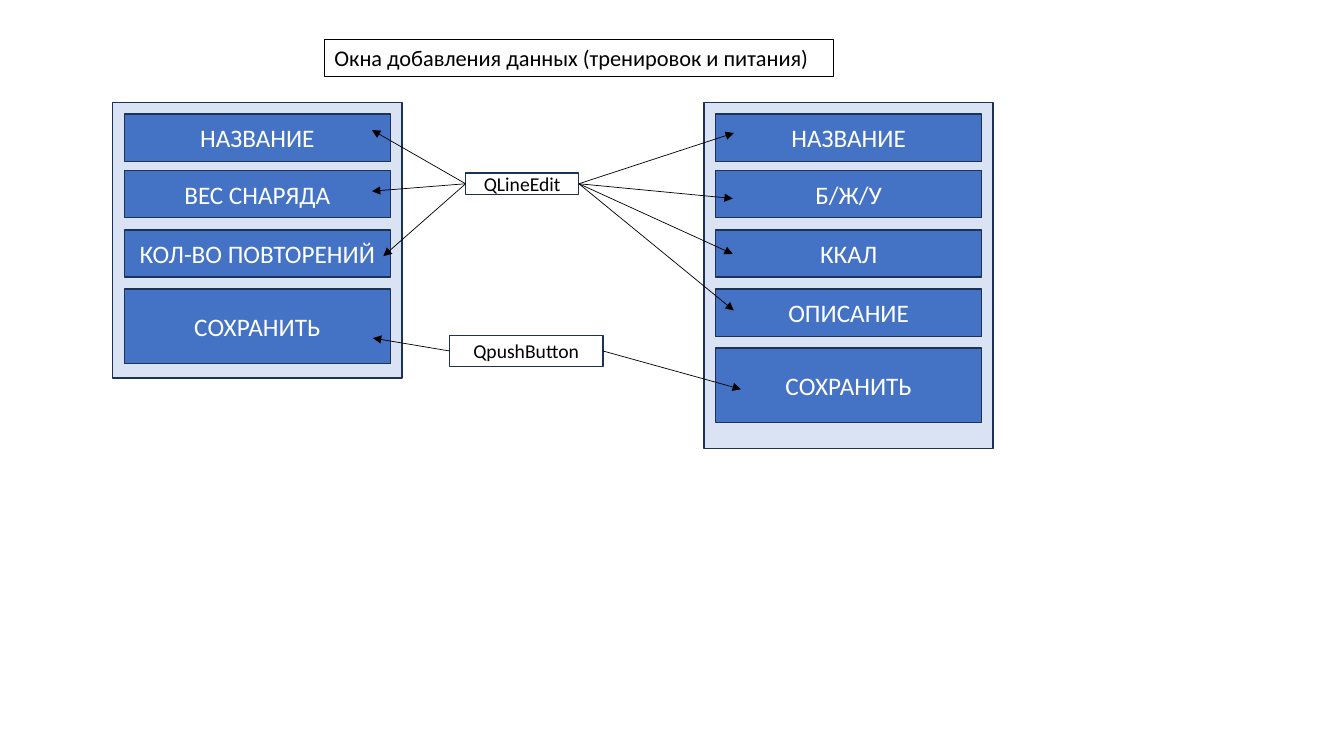
from lxml import etree
from pptx import Presentation
from pptx.dml.color import RGBColor
from pptx.enum.shapes import MSO_CONNECTOR, MSO_SHAPE
from pptx.enum.text import MSO_ANCHOR, PP_ALIGN
from pptx.oxml.ns import qn
from pptx.util import Pt

RECTANGLE = MSO_SHAPE.RECTANGLE
STRAIGHT = MSO_CONNECTOR.STRAIGHT
MIDDLE = MSO_ANCHOR.MIDDLE
LEFT, CENTER = PP_ALIGN.LEFT, PP_ALIGN.CENTER

BLACK, WHITE = "000000", "FFFFFF"
NAVY, BLUE, PALE = "1E3256", "4472C4", "DAE3F3"


def add_box(text, left, top, width, height, fill=None, line=NAVY, weight=1,
            size=18, color=WHITE, align=CENTER):
    box = page.shapes.add_shape(RECTANGLE, Pt(left), Pt(top), Pt(width), Pt(height))
    box.shadow.inherit = False
    if fill:
        box.fill.solid()
        box.fill.fore_color.rgb = RGBColor.from_string(fill)
    else:
        box.fill.background()
    box.line.color.rgb = RGBColor.from_string(line)
    box.line.width = Pt(weight)
    if text:
        frame = box.text_frame
        frame.word_wrap = True
        frame.vertical_anchor = MIDDLE
        para = frame.paragraphs[0]
        para.alignment = align
        span = para.add_run()
        span.text = text
        span.font.name = "Calibri"
        span.font.size = Pt(size)
        span.font.color.rgb = RGBColor.from_string(color)


def add_arrow(start, end):
    arrow = page.shapes.add_connector(STRAIGHT, *[Pt(value) for value in start + end])
    arrow.line.color.rgb = RGBColor.from_string(BLACK)
    arrow.line.width = Pt(0.5)
    etree.SubElement(arrow.line._get_or_add_ln(), qn("a:tailEnd"), type="triangle")
    etree.SubElement(arrow._element.spPr, qn("a:effectLst"))


deck = Presentation()
deck.slide_width, deck.slide_height = Pt(960), Pt(540)
page = deck.slides.add_slide(deck.slide_layouts[6])

# Windows: panel left, panel height, field left, labels
windows = [
    (80.6, 196.6, 88.8, ["НАЗВАНИЕ", "ВЕС СНАРЯДА", "КОЛ-ВО ПОВТОРЕНИЙ", "СОХРАНИТЬ"]),
    (502.8, 247, 511.2, ["НАЗВАНИЕ", "Б/Ж/У", "ККАЛ", "ОПИСАНИЕ", "СОХРАНИТЬ"]),
]
row_tops = [81.4, 121.7, 164.2, 206.6, 248.6]
for panel_left, panel_height, field_left, labels in windows:
    add_box("", panel_left, 73.4, 206.6, panel_height, fill=PALE)
    for label, top in zip(labels, row_tops):
        height = 53.3 if label == "СОХРАНИТЬ" else 33.8
        add_box(label, field_left, top, 190, height, fill=BLUE)

# Title
add_box("Окна добавления данных (тренировок и питания)", 231.8, 28.1, 363.6, 26.6,
        line=BLACK, weight=0.75, size=16, color=BLACK, align=LEFT)

# Widget classes: name, box, arrow ends to the left and to the right
widgets = [
    ("QLineEdit", (332.6, 123.6, 80.9, 15.3),
     [(265.7, 92.9), (265.7, 136.6), (273.8, 183)],
     [(524.2, 95), (523.4, 141.8), (523.4, 181.4), (524.2, 221.8)]),
    ("QpushButton", (321.1, 239.8, 109.6, 21.8), [(266.4, 241.5)], [(529.2, 278)]),
]
for name, (left, top, width, height), left_ends, right_ends in widgets:
    add_box(name, left, top, width, height, size=14, color=BLACK)
    middle = top + height / 2
    for end in left_ends:
        add_arrow((left, middle), end)
    for end in right_ends:
        add_arrow((left + width, middle), end)

deck.save("out.pptx")
